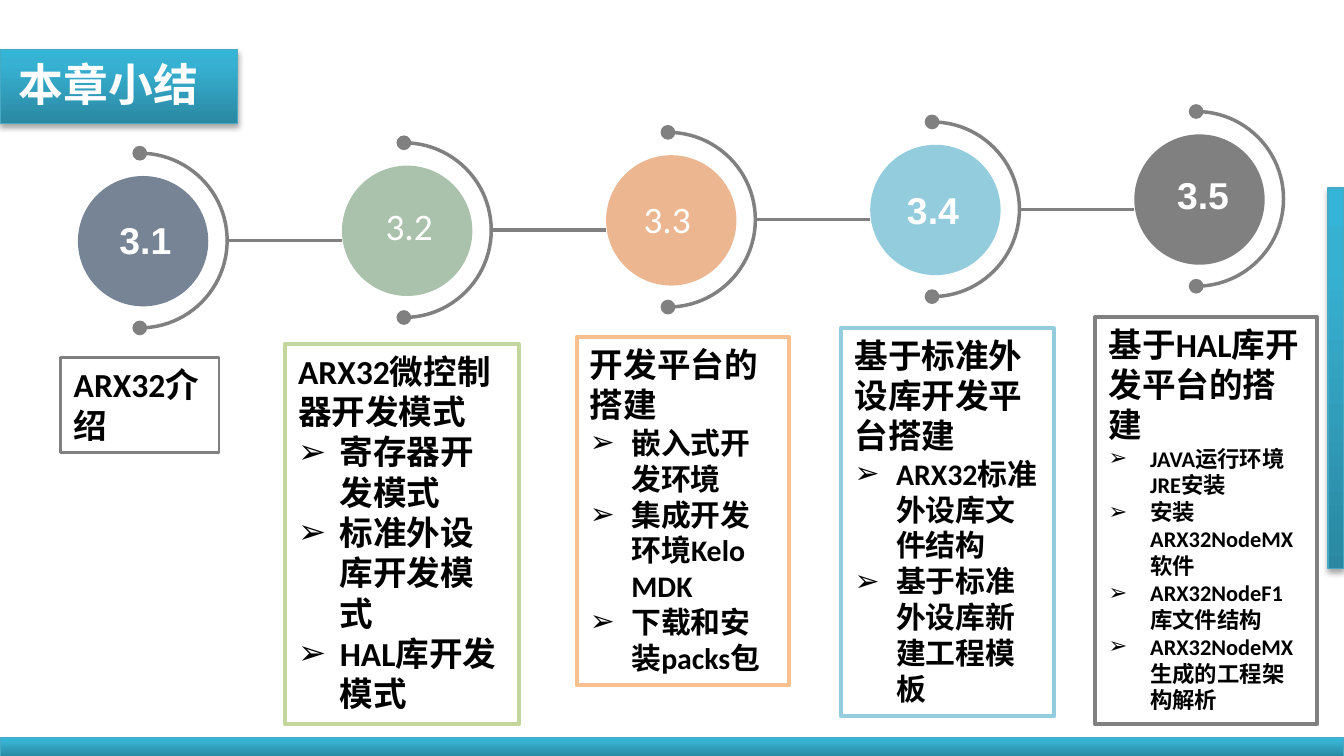
from copy import deepcopy
from dataclasses import dataclass

from lxml import etree
from pptx import Presentation
from pptx.dml.color import RGBColor
from pptx.enum.shapes import MSO_CONNECTOR, MSO_SHAPE
from pptx.enum.text import MSO_ANCHOR, MSO_AUTO_SIZE, PP_ALIGN
from pptx.oxml.ns import qn
from pptx.util import Inches, Pt

RECTANGLE = MSO_SHAPE.RECTANGLE
OVAL = MSO_SHAPE.OVAL
STRAIGHT = MSO_CONNECTOR.STRAIGHT
TOP, LEFT = MSO_ANCHOR.TOP, PP_ALIGN.LEFT
GROW = MSO_AUTO_SIZE.SHAPE_TO_FIT_TEXT

GRAY, WHITE, BLACK = "808080", "FFFFFF", "000000"
CJK_FONT = "Noto Sans CJK SC"
GRADIENT = ((0, "2A88A2"), (0.8, "37B1D2"), (1, "34B4D6"))

# Stage row: each half ring sits further right and slightly higher
STAGE_COUNT = 5
FIRST_X, LAST_X = 1.04, 8.9
FIRST_Y, LAST_Y = 1.14, 0.83
STEP_X = (LAST_X - FIRST_X) / (STAGE_COUNT - 1)
STEP_Y = (LAST_Y - FIRST_Y) / (STAGE_COUNT - 1)
RADIUS = 0.65
DOT = 0.11
DISC = 0.97
DISC_DX, DISC_DY = -0.46, 0.17


@dataclass
class Stage:
    number: str
    disc_color: str
    label_at: tuple[float, float]
    label_font: str
    label_bold: bool
    card_at: tuple[float, float, float, float]
    card_color: str
    card_line: float
    heading: str
    bullets: tuple[str, ...] = ()
    bullet_size: int = 18


STAGES = [
    Stage("3.1", "778495", (0.79, 1.57), "Arial", True,
          (0.45, 2.66, 1.18, 0.71), GRAY, 1.5, "ARX32介绍"),
    Stage("3.2", "AAC2AC", (2.77, 1.46), "Calibri", False,
          (2.12, 2.56, 1.74, 2.83), "C3D69B", 2.25, "ARX32微控制器开发模式",
          ("寄存器开发模式", "标准外设库开发模式", "HAL库开发模式")),
    Stage("3.3", "EBB690", (4.69, 1.41), "Calibri", False,
          (4.29, 2.51, 1.58, 2.59), "FAC090", 2.25, "开发平台的搭建",
          ("嵌入式开发环境", "集成开发环境Kelo MDK", "下载和安装packs包"), 16),
    Stage("3.4", "93CDDD", (6.65, 1.34), "Arial", True,
          (6.26, 2.44, 1.58, 2.89), "93CDDD", 2.25, "基于标准外设库开发平台搭建",
          ("ARX32标准外设库文件结构", "基于标准外设库新建工程模板"), 16),
    Stage("3.5", GRAY, (8.66, 1.23), "Arial", True,
          (8.15, 2.36, 1.65, 3.03), GRAY, 2.25, "基于HAL库开发平台的搭建",
          ("JAVA运行环境JRE安装", "安装ARX32NodeMX软件", "ARX32NodeF1库文件结构",
           "ARX32NodeMX生成的工程架构解析"), 12),
]


def rgb(color: str) -> RGBColor:
    return RGBColor.from_string(color)


def set_line(shape, color: str, width: float) -> None:
    shape.line.color.rgb = rgb(color)
    shape.line.width = Pt(width)


def format_paragraph(paragraph, size: int, font: str, color: str, bold: bool) -> None:
    paragraph.alignment = LEFT
    for span in paragraph.runs:
        span.font.size = Pt(size)
        span.font.name = font
        span.font.bold = bold
        span.font.color.rgb = rgb(color)
        etree.SubElement(span.font._element, qn("a:ea"), typeface=CJK_FONT)


def add_shape(page, kind, left: float, top: float, width: float, height: float):
    shape = page.shapes.add_shape(
        kind, Inches(left), Inches(top), Inches(width), Inches(height))
    shape.shadow.inherit = False
    return shape


def add_band(page, left: float, top: float, width: float, height: float) -> None:
    band = add_shape(page, RECTANGLE, left, top, width, height)
    band.fill.gradient()
    band.fill.gradient_angle = 90
    stop_list = band._element.spPr.find(".//" + qn("a:gsLst"))
    stop_list.append(deepcopy(stop_list[0]))
    for stop, (position, color) in zip(band.fill.gradient_stops, GRADIENT):
        stop.position = position
        stop.color.rgb = rgb(color)
    set_line(band, "46AAC5", 0.75)
    effects = band._element.spPr.find(qn("a:effectLst"))
    shadow = etree.SubElement(effects, qn("a:outerShdw"), blurRad="40000",
                              dist="23000", dir="5400000", rotWithShape="0")
    shade = etree.SubElement(shadow, qn("a:srgbClr"), val=BLACK)
    etree.SubElement(shade, qn("a:alpha"), val="35000")


def add_label(page, at: tuple[float, float, float, float], text: str, size: int,
              font: str, bold: bool, wrap: bool) -> None:
    box = page.shapes.add_textbox(*(Inches(value) for value in at))
    frame = box.text_frame
    frame.text = text
    frame.word_wrap = wrap
    frame.auto_size = GROW
    format_paragraph(frame.paragraphs[0], size, font, WHITE, bold)


def add_disc(page, left: float, top: float, size: float, color: str) -> None:
    disc = add_shape(page, OVAL, left, top, size, size)
    disc.fill.solid()
    disc.fill.fore_color.rgb = rgb(color)
    disc.line.fill.background()


def add_half_ring(page, x: float, y: float) -> None:
    builder = page.shapes.build_freeform(Inches(x), Inches(y))
    builder.add_line_segments(
        [(Inches(x + RADIUS), Inches(y + RADIUS)), (Inches(x), Inches(y + 2 * RADIUS))],
        close=False)
    ring = builder.convert_to_shape()
    ring.shadow.inherit = False
    ring.fill.background()
    set_line(ring, GRAY, 1.88)
    # Swap the straight segments for one true half-circle
    outline = ring._element.spPr.find(".//" + qn("a:path"))
    for segment in outline.findall(qn("a:lnTo")):
        outline.remove(segment)
    radius = str(int(Inches(RADIUS)))
    etree.SubElement(outline, qn("a:arcTo"), wR=radius, hR=radius,
                     stAng="16200000", swAng="10800000")
    for dot_y in (y, y + 2 * RADIUS):
        add_disc(page, x - DOT / 2, dot_y - DOT / 2, DOT, GRAY)


def add_link(page, start_x: float, end_x: float, y: float) -> None:
    link = page.shapes.add_connector(
        STRAIGHT, Inches(start_x), Inches(y), Inches(end_x), Inches(y))
    set_line(link, GRAY, 1.88)
    etree.SubElement(link._element.spPr, qn("a:effectLst"))


def add_card(page, stage: Stage) -> None:
    card = add_shape(page, RECTANGLE, *stage.card_at)
    card.fill.background()
    set_line(card, stage.card_color, stage.card_line)
    frame = card.text_frame
    frame.word_wrap = True
    frame.auto_size = GROW
    frame.vertical_anchor = TOP
    frame.text = stage.heading
    format_paragraph(frame.paragraphs[0], 18, "Calibri", BLACK, True)
    for bullet in stage.bullets:
        paragraph = frame.add_paragraph()
        paragraph.text = bullet
        properties = paragraph._p.get_or_add_pPr()
        properties.set("marL", str(int(Inches(0.31))))
        properties.set("indent", str(int(Inches(-0.31))))
        etree.SubElement(properties, qn("a:buFont"), typeface="Arial")
        etree.SubElement(properties, qn("a:buChar"), char="➢")
        format_paragraph(paragraph, stage.bullet_size, "Calibri", BLACK, True)


def add_stage(page, index: int, stage: Stage) -> None:
    x, y = FIRST_X + index * STEP_X, FIRST_Y + index * STEP_Y
    add_half_ring(page, x, y)
    add_disc(page, x + DISC_DX, y + DISC_DY, DISC, stage.disc_color)
    if index < STAGE_COUNT - 1:
        add_link(page, x + RADIUS, x + STEP_X + DISC_DX, y + RADIUS)
    add_label(page, (*stage.label_at, 0.59, 0.44), stage.number, 20,
              stage.label_font, stage.label_bold, False)
    add_card(page, stage)


def main() -> None:
    # Widescreen page, 16:9
    deck = Presentation()
    deck.slide_width = Inches(10)
    deck.slide_height = Inches(10 * 9 / 16)
    page = deck.slides.add_slide(deck.slide_layouts[6])

    # Edge bands and title
    add_band(page, 0, 5.49, 10, 0.14)
    add_band(page, 9.88, 1.4, 0.12, 2.83)
    add_band(page, 0, 0.37, 1.77, 0.55)
    add_label(page, (0.04, 0.37, 1.65, 0.5), "本章小结", 24, CJK_FONT, True, True)

    # Chapter stages
    for index, stage in enumerate(STAGES):
        add_stage(page, index, stage)

    deck.save("out.pptx")


if __name__ == "__main__":
    main()
